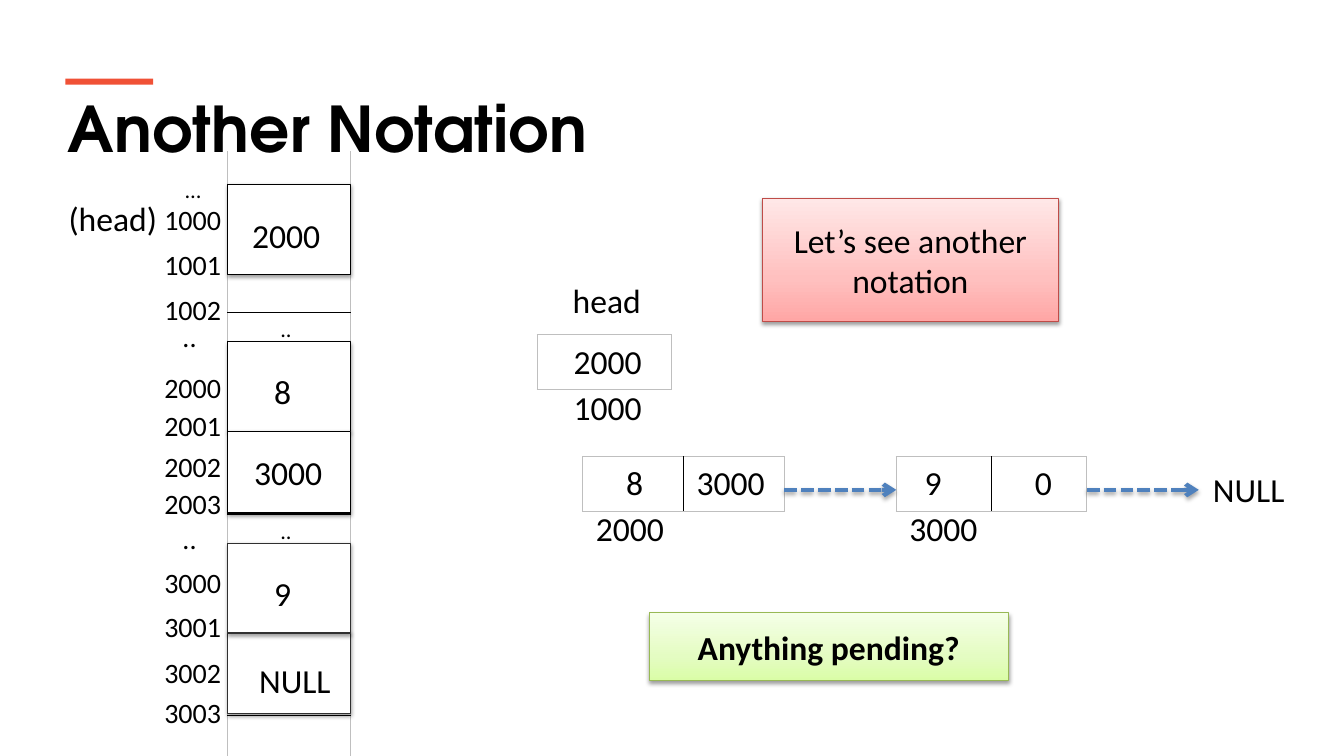
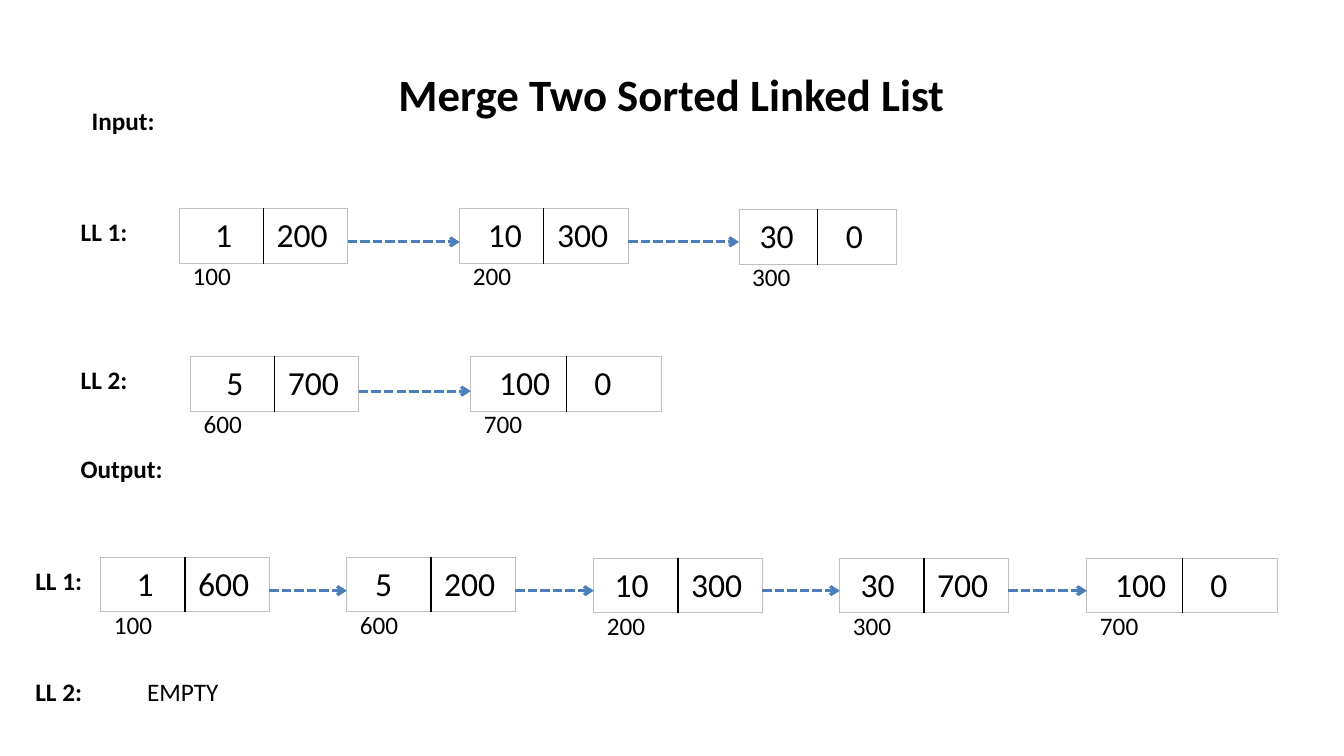
from copy import deepcopy

from lxml.etree import SubElement
from pptx import Presentation
from pptx.dml.color import RGBColor
from pptx.enum.dml import MSO_LINE
from pptx.enum.shapes import MSO_CONNECTOR, MSO_SHAPE
from pptx.enum.text import MSO_ANCHOR, MSO_AUTO_SIZE, PP_ALIGN
from pptx.oxml.ns import qn
from pptx.util import Inches, Pt

color = RGBColor.from_string
BLACK, GRAY, WHITE, ACCENT = "000000", "BFBFBF", "FFFFFF", "F05136"
INSET, SPACE = 0.13, 0.075


def write(frame, text, size, bold=False, align=PP_ALIGN.LEFT, font="Calibri"):
    para = frame.paragraphs[0]
    para.alignment = align
    span = para.add_run()
    span.text = text
    formats = {"name": font, "size": Pt(size), "bold": bold}
    for name, value in formats.items():
        setattr(span.font, name, value)
    span.font.color.rgb = color(BLACK)


def add_effects(shape, blur=0, distance=0, opacity=0):
    effects = SubElement(shape._element.spPr, qn("a:effectLst"))
    if opacity:
        shadow = SubElement(effects, qn("a:outerShdw"), blurRad=str(Pt(blur)),
                            dist=str(Pt(distance)), dir="5400000", rotWithShape="0")
        tint = SubElement(shadow, qn("a:srgbClr"), val=BLACK)
        SubElement(tint, qn("a:alpha"), val=str(opacity * 1000))


deck = Presentation()
deck.slide_width, deck.slide_height = Inches(13.33), Inches(7.5)
notation = deck.slides.add_slide(deck.slide_layouts[5])
merge = deck.slides.add_slide(deck.slide_layouts[5])

titles = [
    (notation, "Another Notation", (0.57, 0.84, 12.18, 0.86), 45, True,
     PP_ALIGN.LEFT, "TeX Gyre Adventor", MSO_ANCHOR.TOP),
    (merge, "Merge Two Sorted Linked List", (0.66, 0.3, 12, 1.25), 32, True,
     PP_ALIGN.CENTER, "Calibri", MSO_ANCHOR.MIDDLE),
]
for page, text, place, size, bold, align, font, anchor in titles:
    title = page.shapes.title
    title.left, title.top, title.width, title.height = map(Inches, place)
    frame_formats = {"word_wrap": True, "auto_size": MSO_AUTO_SIZE.NONE,
                     "vertical_anchor": anchor}
    for name, value in frame_formats.items():
        setattr(title.text_frame, name, value)
    write(title.text_frame, text, size, bold, align, font)

chains = [
    (notation, 4.86, "2000", 24, 3, "4F81BD", 11.89,
     [(5.78, 4.53, 2, "8", 4, "3000", 0), (8.89, 4.53, 1.89, "9", 2, "0", 4)]),
    (merge, 2.4, "100", 18, 2.25, "4B7EBC", None,
     [(1.78, 2.07, 1.67, "1", 3, "200", 0), (4.56, 2.07, 1.67, "10", 2, "300", 0),
      (7.33, 2.08, 1.56, "30", 1, "0", 2)]),
    (merge, 3.88, "600", 18, 2.25, "4B7EBC", None,
     [(1.89, 3.54, 1.67, "5", 3, "700", 0), (4.67, 3.54, 1.89, "100", 2, "0", 2)]),
    (merge, 5.86, "100", 18, 2.25, "4B7EBC", None,
     [(1, 5.53, 1.67, "1", 3, "600", 0), (3.44, 5.53, 1.67, "5", 2, "200", 0),
      (5.89, 5.54, 1.67, "10", 1, "300", 0), (8.33, 5.54, 1.67, "30", 1, "700", 0),
      (10.78, 5.54, 1.89, "100", 2, "0", 2)]),
]
tables = [
    (notation, 5.33, 3.32, 1.33, 0.54, [[("", 0)]]),
    (notation, 2.26, 1.5, 1.22, 0.4, [[("", 0)]] * 15),
]
labels = []
arrows = []
for page, arrow_top, address, size, weight, line_color, chain_end, nodes in chains:
    starts = [node[0] for node in nodes[1:]] + [chain_end]
    for node, target in zip(nodes, starts):
        left, top, width, value, value_indent, link, link_indent = node
        tables.append((page, left, top, width, 0.54,
                       [[(value, value_indent), (link, link_indent)]]))
        labels.append((page, left, top + 0.44, 1.11, address, size, False))
        address = link
        if target:
            arrows.append((page, left + width, target, arrow_top, weight, line_color))

for page, left, top, width, row_height, rows in tables:
    row_count, column_count = len(rows), len(rows[0])
    table = page.shapes.add_table(row_count, column_count, Inches(left), Inches(top),
                                  Inches(width), Inches(row_height * row_count)).table
    table.first_row = table.horz_banding = False
    for row_index, row in enumerate(rows):
        table.rows[row_index].height = Inches(row_height)
        for column_index, (text, indent) in enumerate(row):
            cell = table.cell(row_index, column_index)
            margins = {"margin_left": INSET + SPACE * indent, "margin_right": 0,
                       "margin_top": 0.07, "margin_bottom": 0.06}
            for name, value in margins.items():
                setattr(cell, name, Inches(value if text else 0))
            if text:
                write(cell.text_frame, text, 24)
            outer_edges = {
                "a:lnL": column_index == 0,
                "a:lnR": column_index == column_count - 1,
                "a:lnT": row_index == 0,
                "a:lnB": row_index == row_count - 1,
            }
            properties = cell._tc.get_or_add_tcPr()
            for edge, is_outer in outer_edges.items():
                border = SubElement(properties, qn(edge), w=str(Pt(0.75 if is_outer else 1)))
                if is_outer and row_count > 1 and edge in ("a:lnT", "a:lnB"):
                    SubElement(border, qn("a:noFill"))
                else:
                    paint = SubElement(border, qn("a:solidFill"))
                    SubElement(paint, qn("a:srgbClr"), val=GRAY if is_outer else BLACK)
            cell.fill.background()

for page, start, end, height, weight, line_color in arrows:
    arrow = page.shapes.add_connector(MSO_CONNECTOR.STRAIGHT, Inches(start), Inches(height),
                                      Inches(end), Inches(height))
    arrow.line.color.rgb = color(line_color)
    arrow.line.width = Pt(weight)
    arrow.line.dash_style = MSO_LINE.SQUARE_DOT
    SubElement(arrow.line._get_or_add_ln(), qn("a:tailEnd"), type="arrow")
    if page is notation:
        add_effects(arrow, 3.1, 1.8, 35)
    else:
        add_effects(arrow)

bar = notation.shapes.add_shape(MSO_SHAPE.RECTANGLE, Inches(0.65), Inches(0.78),
                                Inches(0.87), Inches(0.06))
bar.shadow.inherit = False
bar.fill.solid()
bar.fill.fore_color.rgb = color(ACCENT)
bar.line.fill.background()

memory = [(2.26, top, 1.22, height, [WHITE], line_color, "", False)
          for top, height, line_color in [
              (6.27, 0.81, "303030"), (1.83, 0.89, BLACK), (3.39, 0.89, BLACK),
              (4.28, 0.81, BLACK), (5.39, 0.89, "303030")]]
callouts = [
    (7.56, 1.97, 2.94, 1.22, ["FFA6A5", "FFC0BF", "FFE7E7"], "BF4C48",
     "Let’s see another notation", False),
    (6.44, 6.08, 3.56, 0.67, ["DAFDA7", "E4FCC2", "F5FFE7"], "98B955",
     "Anything pending?", True),
]
for left, top, width, height, fills, line_color, text, bold in memory + callouts:
    box = notation.shapes.add_shape(MSO_SHAPE.RECTANGLE, Inches(left), Inches(top),
                                    Inches(width), Inches(height))
    if len(fills) == 1:
        box.fill.solid()
        box.fill.fore_color.rgb = color(fills[0])
    else:
        box.fill.gradient()
        box.fill.gradient_angle = 90
        stop_list = box._element.spPr.find(qn("a:gradFill")).find(qn("a:gsLst"))
        stop_list.insert(1, deepcopy(stop_list[0]))
        for stop, position, fill in zip(box.fill.gradient_stops, (0, 0.35, 1), fills):
            stop.position = position
            stop.color.rgb = color(fill)
    box.line.color.rgb = color(line_color)
    box.line.width = Pt(0.75)
    add_effects(box, 3.1, 1.6, 38)
    if text:
        box.text_frame.word_wrap = True
        box.text_frame.vertical_anchor = MSO_ANCHOR.MIDDLE
        box.text_frame.margin_left = box.text_frame.margin_right = Inches(INSET)
        write(box.text_frame, text, 24, bold, PP_ALIGN.CENTER)

addresses = {"1000": 1.94, "1001": 2.39, "1002": 2.83, "2000": 3.61, "2001": 3.98,
             "2002": 4.39, "2003": 4.76, "3000": 5.54, "3001": 5.98, "3002": 6.43,
             "3003": 6.83}
labels += [(notation, 1.5, top, 0.84, text, 20, False) for text, top in addresses.items()]
labels += [(notation, *place, text, size, False) for *place, text, size in [
    (5.56, 3.77, 1.11, "1000", 24), (11.9, 4.58, 0.99, "NULL", 24),
    (5.55, 2.71, 0.95, "head", 24), (5.56, 3.31, 0.95, "2000", 24),
    (1.71, 1.68, 0.44, "…", 16), (1.68, 3.1, 0.41, "..", 20),
    (1.68, 5.1, 0.41, "..", 20), (2.65, 3.06, 0.38, "..", 16),
    (2.65, 5.06, 0.38, "..", 16), (2.59, 3.61, 0.44, "8", 24),
    (2.59, 5.61, 0.44, "9", 24), (2.39, 4.41, 0.95, "3000", 24),
    (2.44, 6.48, 0.99, "NULL", 24), (2.37, 2.06, 0.95, "2000", 24),
    (0.55, 1.89, 1.2, "(head)", 24)]]
labels += [(merge, *place, text, 18, text != "EMPTY") for *place, text in [
    (0.78, 0.97, 1.89, "Input:"), (0.67, 2.08, 0.89, "LL 1:"),
    (0.67, 3.54, 0.89, "LL 2:"), (0.67, 4.43, 1.89, "Output:"),
    (0.22, 5.54, 0.89, "LL 1:"), (0.22, 6.64, 0.89, "LL 2:"),
    (1.33, 6.64, 1.56, "EMPTY")]]
for page, left, top, width, text, size, bold in labels:
    label = page.shapes.add_textbox(Inches(left), Inches(top), Inches(width),
                                    Inches(size * 0.017 + 0.13))
    frame = label.text_frame
    frame.word_wrap = page is merge or width > 1
    margins = {"margin_left": INSET, "margin_right": INSET,
               "margin_top": 0.07, "margin_bottom": 0.07}
    for name, value in margins.items():
        setattr(frame, name, Inches(value))
    write(frame, text, size, bold)

deck.save("out.pptx")
